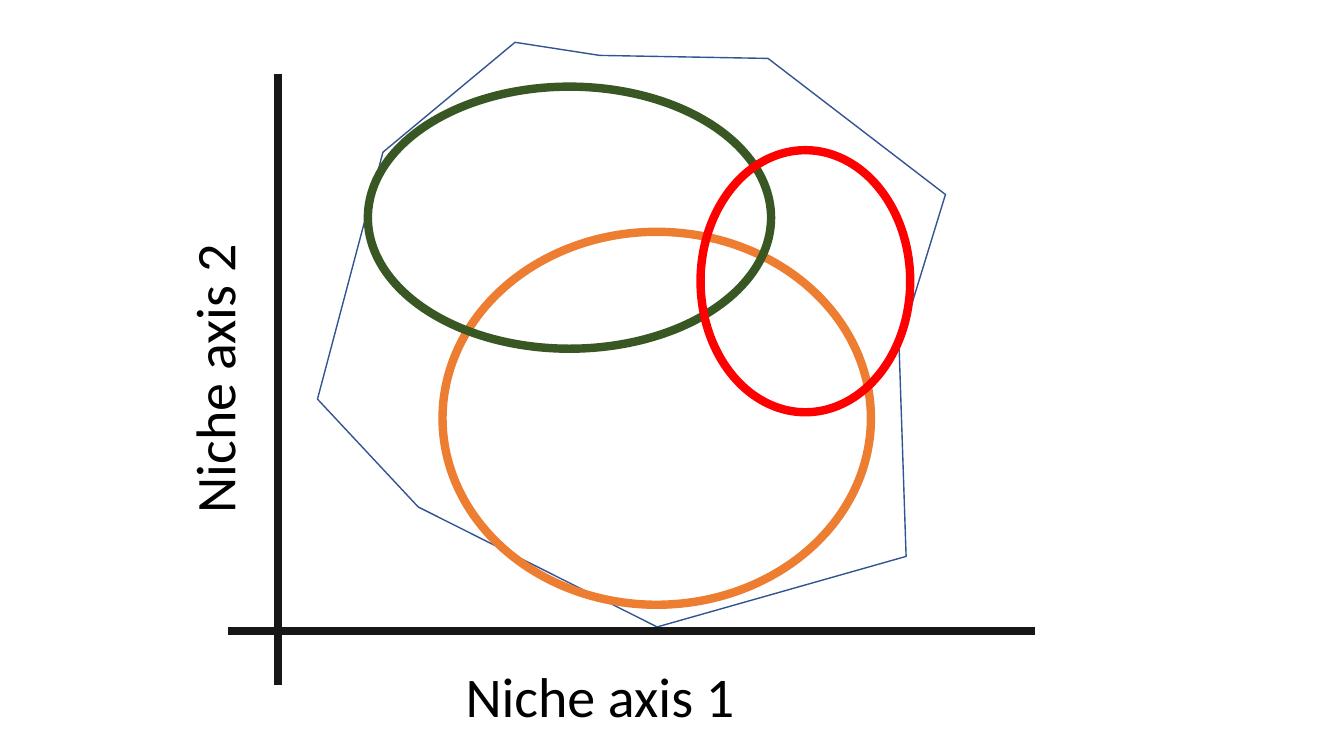
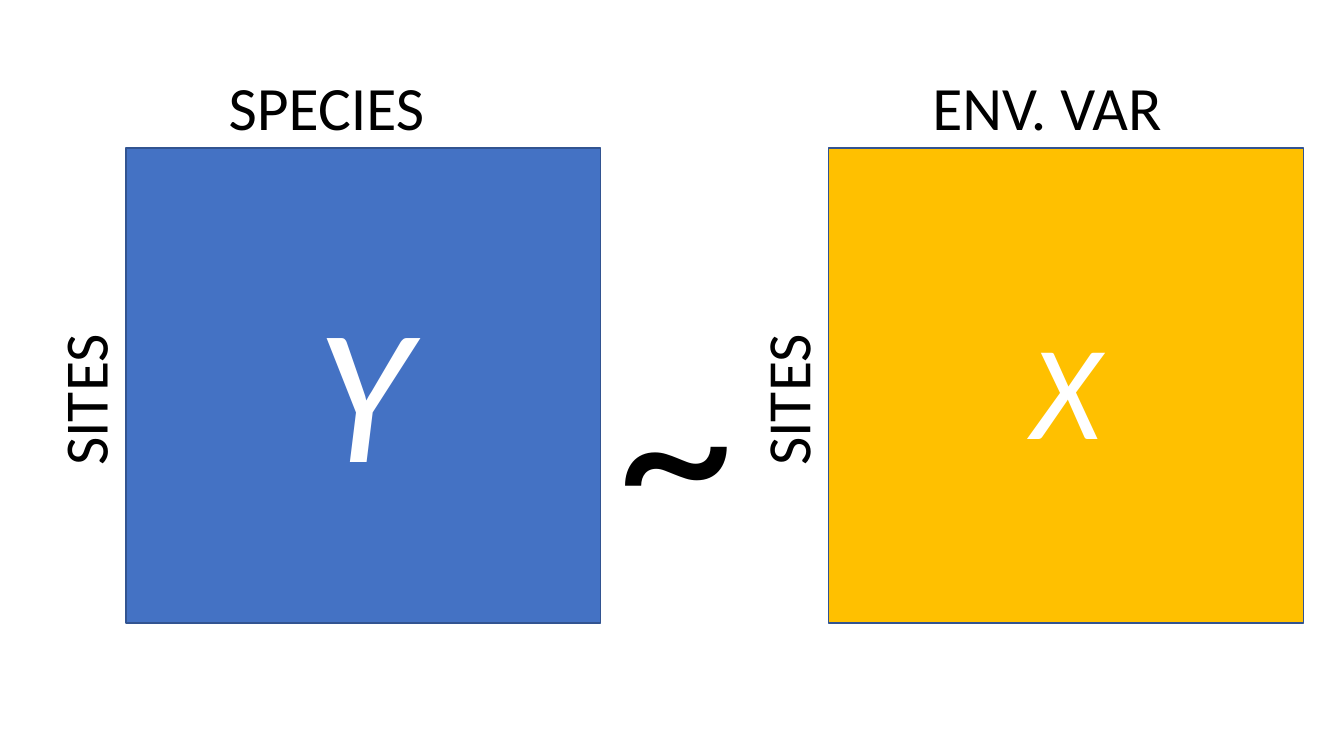
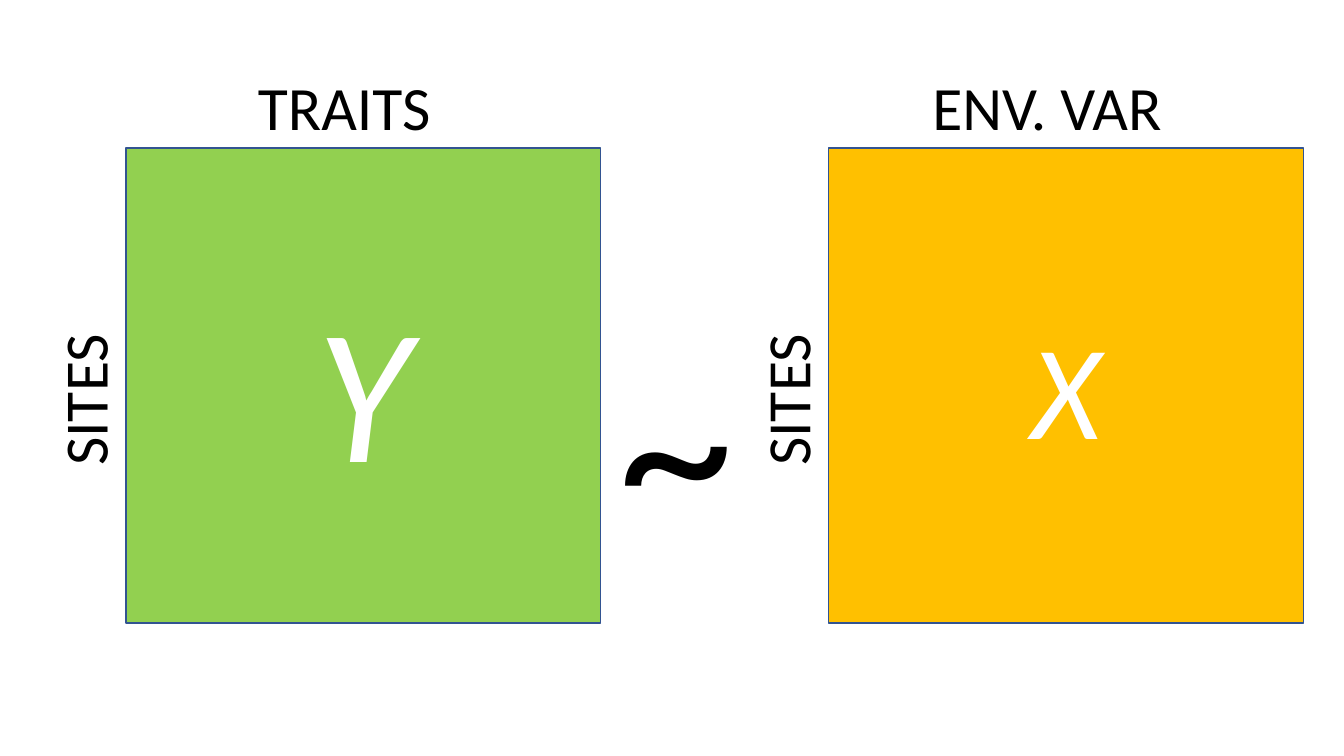
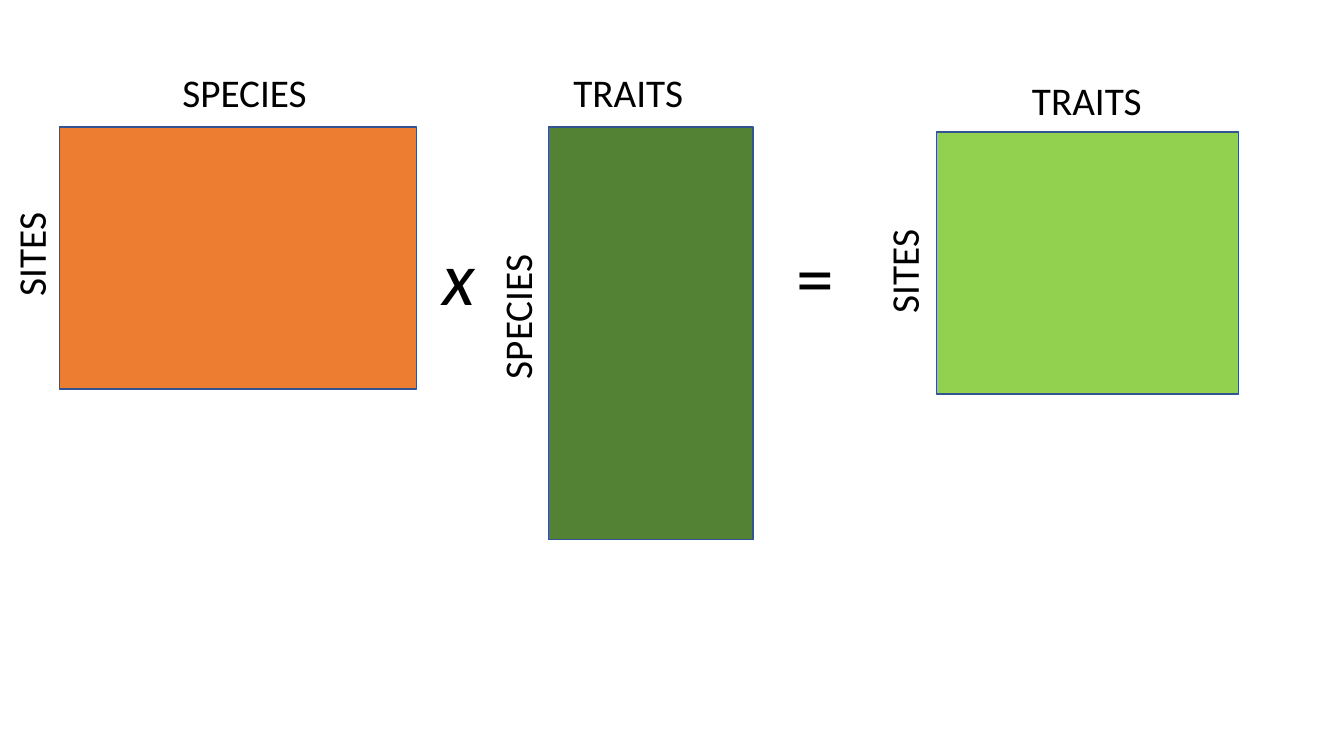
"""Four slides on niche space and on site, species and trait matrices."""
from lxml import etree
from pptx import Presentation
from pptx.dml.color import RGBColor
from pptx.enum.shapes import MSO_CONNECTOR, MSO_SHAPE
from pptx.enum.text import MSO_ANCHOR, MSO_AUTO_SIZE, PP_ALIGN
from pptx.oxml.ns import qn
from pptx.util import Inches, Pt

STRAIGHT = MSO_CONNECTOR.STRAIGHT
RECTANGLE, ELLIPSE = MSO_SHAPE.RECTANGLE, MSO_SHAPE.OVAL
CENTER, MIDDLE = PP_ALIGN.CENTER, MSO_ANCHOR.MIDDLE
GROW = MSO_AUTO_SIZE.SHAPE_TO_FIT_TEXT

COLUMNS, ROWS = 80, 45
CELL = Inches(1 / 6)
POINTS_PER_CELL = 12
INSETS = 1.2
BLANK = 6
FONT = "Calibri"
THIN, THICK = 1, 6
COLORS = {
    "black": "000000", "white": "FFFFFF", "axis": "181717",
    "outline": "325491", "blue": "4472C4", "gold": "FFC000",
    "lime": "92D050", "orange": "ED7D31", "green": "548235",
    "forest": "385723", "red": "FF0000",
}
EM_WIDTHS = {
    "Niche axis 1": 4.84, "Niche axis 2": 4.84, "SPECIES": 3.21,
    "SITES": 2.16, "TRAITS": 2.83, "ENV. VAR": 3.76,
    "~": 0.5, "x": 0.44, "=": 0.51,
}

NICHE_SPACE = [
    (30.66, 2.52), (22.8, 9.06), (18.9, 23.76), (24.9, 30.18),
    (39.12, 37.32), (53.94, 33.12), (53.52, 20.58), (56.28, 11.58),
    (45.72, 3.48), (35.7, 3.3),
]
NICHES = [
    ((26.34, 13.8, 25.5, 22.2), "orange"),
    ((21.9, 5.16, 24, 15.6), "forest"),
    ((41.7, 8.94, 12.48, 15.6), "red"),
]
SQUARE = 28.26
SQUARE_STEP = 41.82


def cells(*lengths):
    """Turn grid cells into slide lengths."""
    return [round(length * CELL) for length in lengths]


def color(name):
    """Look up a named colour."""
    return RGBColor.from_string(COLORS[name])


def style_line(line, name, width):
    """Set the colour and width of a line."""
    line.color.rgb = color(name)
    line.width = Pt(width)


def style_shape(shape, fill, line, width):
    """Set fill and outline and drop the shadow."""
    shape.shadow.inherit = False
    if fill:
        shape.fill.solid()
        shape.fill.fore_color.rgb = color(fill)
    else:
        shape.fill.background()
    style_line(shape.line, line, width)


def write(frame, text, size, name="black", italic=False):
    """Fill a text frame with one formatted paragraph."""
    frame.text = text
    para = frame.paragraphs[0]
    for span in para.runs:
        span.font.name = FONT
        span.font.size = Pt(size)
        span.font.italic = italic
        span.font.color.rgb = color(name)
    return para


def add_label(page, text, center, size, rotation=0, italic=False):
    """Add a one-line label around a centre point."""
    width = EM_WIDTHS[text] * size / POINTS_PER_CELL + INSETS
    height = 1.2 * size / POINTS_PER_CELL + INSETS / 2
    x, y = center
    box = page.shapes.add_textbox(
        *cells(x - width / 2, y - height / 2, width, height))
    box.rotation = rotation
    write(box.text_frame, text, size, italic=italic)
    box.text_frame.word_wrap = False
    box.text_frame.auto_size = GROW


def add_axis(page, start, end):
    """Add a thick straight axis."""
    axis = page.shapes.add_connector(STRAIGHT, *cells(*start, *end))
    style_line(axis.line, "axis", THICK)
    etree.SubElement(axis.element.spPr, qn("a:effectLst"))


def add_outline(page, points):
    """Add an unfilled closed polygon."""
    start, *others = [cells(*point) for point in points]
    builder = page.shapes.build_freeform(*start)
    builder.add_line_segments(others, close=True)
    style_shape(builder.convert_to_shape(), None, "outline", THIN)


def add_ellipse(page, place, line):
    """Add an unfilled thick ellipse."""
    ellipse = page.shapes.add_shape(ELLIPSE, *cells(*place))
    style_shape(ellipse, None, line, THICK)


def add_matrix(page, place, fill, top, side, size):
    """Add a matrix with a label above and one turned at its left."""
    matrix = page.shapes.add_shape(RECTANGLE, *cells(*place))
    style_shape(matrix, fill, "outline", THIN)
    add_label(page, *top, size)
    add_label(page, *side, size, rotation=270)
    return matrix


def add_letter(matrix, letter, size):
    """Write a large italic letter in the middle of a matrix."""
    matrix.text_frame.vertical_anchor = MIDDLE
    para = write(matrix.text_frame, letter, size, "white", italic=True)
    para.alignment = CENTER


def add_page(deck):
    """Add a blank slide."""
    return deck.slides.add_slide(deck.slide_layouts[BLANK])


def niche_slide(deck):
    """Draw overlapping niches between two axes."""
    page = add_page(deck)
    add_outline(page, NICHE_SPACE)
    add_label(page, "Niche axis 1", (35.79, 41.37), 40)
    add_label(page, "Niche axis 2", (12.69, 22.47), 40, rotation=270)
    add_axis(page, (16.56, 4.38), (16.56, 40.8))
    add_axis(page, (61.62, 37.56), (13.56, 37.56))
    for place, line in NICHES:
        add_ellipse(page, place, line)


def model_slide(deck, response, response_center, fill):
    """Draw a response matrix modelled by the environment."""
    page = add_page(deck)
    panels = [
        (response, response_center, fill, "Y", 138),
        ("ENV. VAR", 62.4, "gold", "X", 96),
    ]
    for index, (title, center, shade, letter, size) in enumerate(panels):
        shift = index * SQUARE_STEP
        matrix = add_matrix(
            page, (7.5 + shift, 8.82, SQUARE, SQUARE), shade,
            (title, (center, 6.3)), ("SITES", (4.95 + shift, 23.76)), 44)
        add_letter(matrix, letter, size)
    add_label(page, "~", (40.26, 26.13), 166)


def product_slide(deck):
    """Draw the product of two matrices and its result."""
    page = add_page(deck)
    matrices = [
        ((3.54, 7.56, 21.24, 15.6), "orange",
         ("SPECIES", (14.61, 5.49)), ("SITES", (1.8, 15.09))),
        ((32.64, 7.56, 12.18, 24.54), "green",
         ("TRAITS", (37.44, 5.49)), ("SPECIES", (30.75, 18.81))),
        ((55.74, 7.86, 18, 15.6), "lime",
         ("TRAITS", (64.74, 5.97)), ("SITES", (53.76, 16.11))),
    ]
    for matrix in matrices:
        add_matrix(page, *matrix, 28)
    add_label(page, "x", (27.33, 16.41), 54, italic=True)
    add_label(page, "=", (48.6, 16.41), 54)


def main():
    """Build and save the deck."""
    deck = Presentation()
    deck.slide_width, deck.slide_height = cells(COLUMNS, ROWS)
    niche_slide(deck)
    model_slide(deck, "SPECIES", 19.5, "blue")
    model_slide(deck, "TRAITS", 20.55, "lime")
    product_slide(deck)
    deck.save("out.pptx")


if __name__ == "__main__":
    main()
